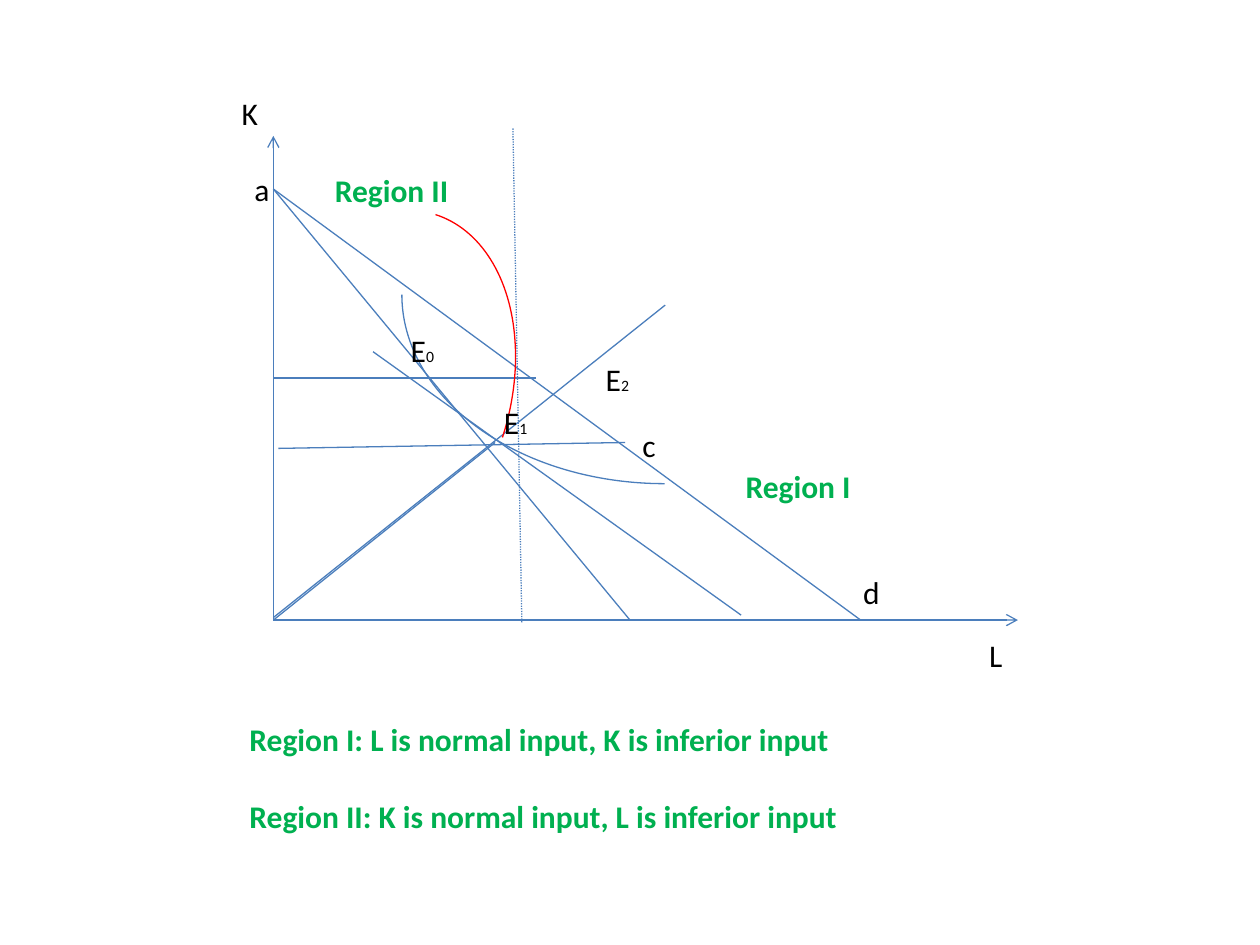
from dataclasses import dataclass

from lxml import etree
from pptx import Presentation
from pptx.dml.color import RGBColor
from pptx.enum.dml import MSO_LINE
from pptx.enum.shapes import MSO_CONNECTOR, MSO_SHAPE
from pptx.oxml.ns import qn
from pptx.util import Cm, Pt

STRAIGHT = MSO_CONNECTOR.STRAIGHT
ARC = MSO_SHAPE.ARC
DOTTED = MSO_LINE.ROUND_DOT


@dataclass(frozen=True)
class Theme:
    font: str = "Calibri"
    ink: RGBColor = RGBColor(0, 0, 0)
    blue: RGBColor = RGBColor(0x4B, 0x7E, 0xBC)
    red: RGBColor = RGBColor(0xFF, 0, 0)
    green: RGBColor = RGBColor(0, 0xB0, 0x50)
    body: Pt = Pt(18)
    index: Pt = Pt(9)
    gap: Pt = Pt(22)
    stroke: Pt = Pt(0.75)


class Diagram:
    def __init__(self, slide, theme):
        self.slide = slide
        self.theme = theme

    def line(self, start, end, arrow=False, dash=None):
        cxn = self.slide.shapes.add_connector(
            STRAIGHT, *(Cm(v) for v in (*start, *end)))
        cxn.line.color.rgb = self.theme.blue
        cxn.line.width = self.theme.stroke
        if dash:
            cxn.line.dash_style = dash
        if arrow:
            etree.SubElement(cxn.line._get_or_add_ln(), qn("a:tailEnd"), type="arrow")
        etree.SubElement(cxn._element.spPr, qn("a:effectLst"))

    def arc(self, left, top, width, height, rotation, color):
        sp = self.slide.shapes.add_shape(
            ARC, Cm(left), Cm(top), Cm(width), Cm(height))
        sp.rotation = rotation
        sp.shadow.inherit = False
        sp.fill.background()
        sp.line.color.rgb = color
        sp.line.width = self.theme.stroke

    def text(self, left, top, width, paragraphs, height=1.02, index="", region=False):
        sp = self.slide.shapes.add_textbox(Cm(left), Cm(top), Cm(width), Cm(height))
        tf = sp.text_frame
        tf.word_wrap = True
        tf.text = "\n".join(paragraphs)
        for p in tf.paragraphs[1:]:
            p.space_before = self.theme.gap
        if index:
            tf.paragraphs[0].add_run().text = index
        for p in tf.paragraphs:
            for r in p.runs:
                r.font.name = self.theme.font
                r.font.size = self.theme.body
                r.font.bold = region
                r.font.color.rgb = self.theme.green if region else self.theme.ink
        if index:
            tf.paragraphs[0].runs[-1].font.size = self.theme.index


def main():
    prs = Presentation()
    prs.slide_width, prs.slide_height = Cm(25.4), Cm(19.05)
    theme = Theme()
    d = Diagram(prs.slides.add_slide(prs.slide_layouts[6]), theme)

    origin = (5.51, 12.5)
    point_a = (5.51, 3.81)

    d.arc(8.1, 2.13, 10.59, 7.62, 180, theme.blue)
    for end in ((5.51, 2.74), (20.52, 12.5)):
        d.line(origin, end, arrow=True)
    for start, end in (
        (point_a, (12.7, 12.5)),
        (point_a, (17.35, 12.5)),
        ((7.52, 7.09), (14.94, 12.4)),
        ((5.51, 7.62), (10.8, 7.62)),
        ((5.61, 9.04), (12.6, 8.92)),
        ((5.51, 12.45), (13.41, 6.15)),
        ((9.98, 8.92), origin),
    ):
        d.line(start, end)
    d.arc(4.93, 4.14, 5.33, 7.72, 17.9, theme.red)
    d.line((10.34, 2.59), (10.52, 12.55), dash=DOTTED)

    for label, left, top, width in (
        ("a", 4.88, 3.3, 0.64),
        ("c", 12.7, 8.46, 1.27),
        ("d", 17.15, 11.43, 1.07),
        ("K", 4.62, 1.78, 2.97),
        ("L", 19.69, 12.7, 2.97),
    ):
        d.text(left, top, width, [label])
    for index, left, top in (("0", 8.03, 6.55), ("1", 9.91, 8), ("2", 11.96, 7.14)):
        d.text(left, top, 1.8, ["E"], index=index)
    for label, left, top in (("Region I", 14.78, 9.3), ("Region II", 6.5, 3.33)):
        d.text(left, top, 3.02, [label], region=True)
    d.text(4.78, 14.4, 13.34, [
        "Region I: L is normal input, K is inferior input",
        "Region II: K is normal input, L is inferior input",
    ], height=4.01, region=True)

    prs.save("out.pptx")


if __name__ == "__main__":
    main()
